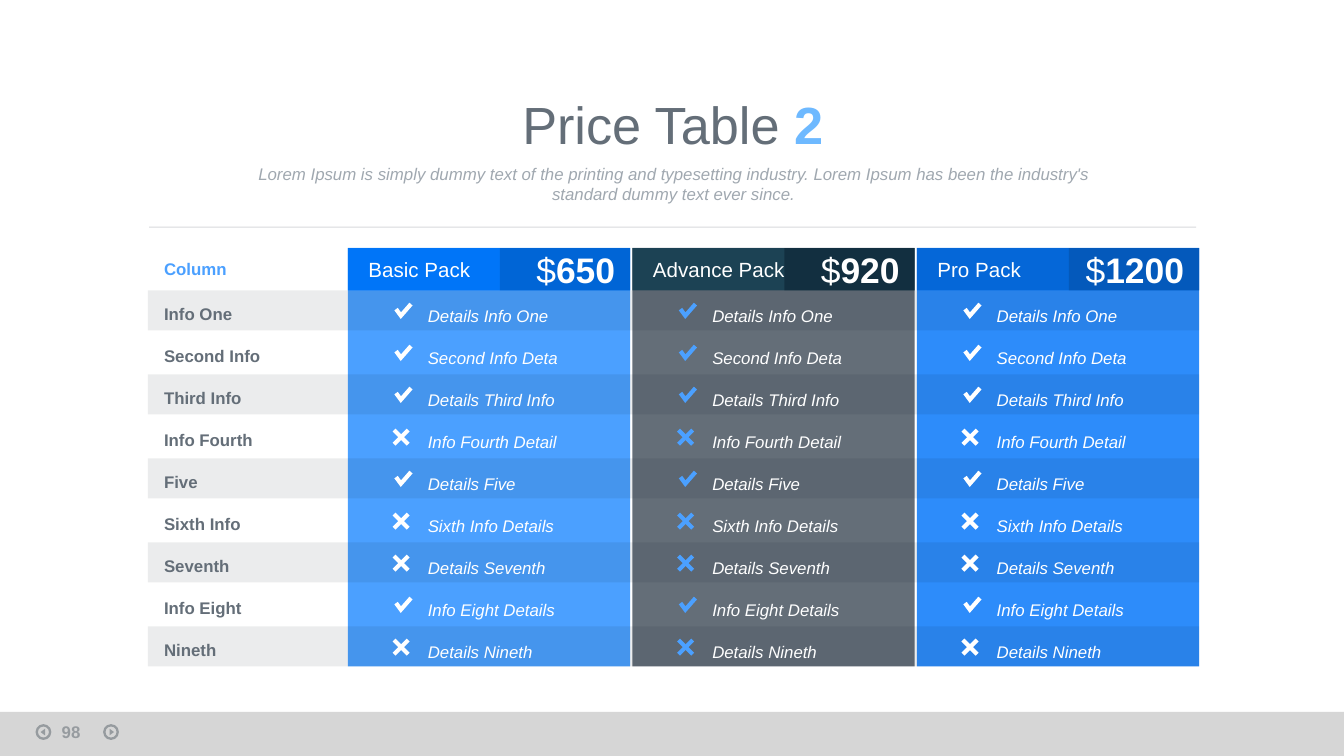
from dataclasses import dataclass

from pptx import Presentation
from pptx.dml.color import RGBColor
from pptx.enum.shapes import MSO_CONNECTOR, MSO_SHAPE as SHAPE
from pptx.enum.text import MSO_ANCHOR, PP_ALIGN as ALIGN
from pptx.oxml.ns import qn
from pptx.oxml.xmlchemy import OxmlElement
from pptx.util import Pt


@dataclass(frozen=True)
class Theme:
    """Colours are (RGB, opacity in percent)."""
    font: str = "Arial"
    title: int = 28
    price: int = 19
    pack: int = 11
    body: int = 9
    white: tuple = ("FFFFFF", 100)
    slate: tuple = ("646E78", 100)
    blue: tuple = ("4BA0FF", 100)
    light_blue: tuple = ("6EB9FF", 100)
    strong_blue: tuple = ("2D8CFA", 100)
    grey: tuple = ("A0A8B0", 100)
    rule: tuple = ("646E78", 25)
    band: tuple = ("051423", 8)
    footer: tuple = ("D2D2D2", 90)
    footer_ink: tuple = ("051423", 30)


T = Theme()


@dataclass(frozen=True)
class Pack:
    name: str
    price: str
    body: tuple
    header: tuple
    price_panel: tuple
    mark: tuple


PACKS = [
    Pack("Basic Pack", "650", T.blue, ("0075F8", 100), ("004EA5", 40), T.white),
    Pack("Advance Pack", "920", T.slate, ("0A374B", 80), ("051423", 40), T.blue),
    Pack("Pro Pack", "1200", T.strong_blue, ("0567D8", 100), ("034590", 40), T.white),
]
# label, detail, included
ROWS = [
    ("Info One", "Details Info One", True),
    ("Second Info", "Second Info Deta", True),
    ("Third Info", "Details Third Info", True),
    ("Info Fourth", "Info Fourth Detail", False),
    ("Five", "Details Five", True),
    ("Sixth Info", "Sixth Info Details", False),
    ("Seventh", "Details Seventh", False),
    ("Info Eight", "Info Eight Details", True),
    ("Nineth", "Details Nineth", False),
]
LABELS, DETAILS, INCLUDED = zip(*ROWS)

TABLE_LEFT, TABLE_TOP = 79.2, 132.9
PACK_LEFT, PACK_PITCH, PACK_WIDTH = 186.4, 152.4, 151.2
HEADER_HEIGHT, ROW_PITCH, BAND_HEIGHT = 22.7, 22.5, 21.4
ROWS_TOP = TABLE_TOP + HEADER_HEIGHT
BODY_HEIGHT = HEADER_HEIGHT + (len(ROWS) - 1) * ROW_PITCH + BAND_HEIGHT


def paint(fill, color):
    rgb, opacity = color
    fill.solid()
    fill.fore_color.rgb = RGBColor.from_string(rgb)
    if opacity < 100:
        alpha = OxmlElement("a:alpha")
        alpha.set("val", str(opacity * 1000))
        fill._xPr.find(qn("a:solidFill"))[0].append(alpha)


def add_shape(slide, kind, x, y, w, h, color, rotation=0):
    s = slide.shapes.add_shape(kind, Pt(x), Pt(y), Pt(w), Pt(h))
    s.shadow.inherit = False
    s.rotation = rotation
    s.line.fill.background()
    paint(s.fill, color)
    return s


def add_line(slide, x1, y1, x2, y2, color, width):
    line = slide.shapes.add_connector(
        MSO_CONNECTOR.STRAIGHT, Pt(x1), Pt(y1), Pt(x2), Pt(y2))
    paint(line.line.fill, color)
    line.line.width = Pt(width)
    line._element.spPr.append(OxmlElement("a:effectLst"))


def add_text(slide, x, y, w, h, lines, color, size=T.body, bold=None,
             italic=None, align=ALIGN.LEFT, spacing=None):
    """Add a text box with one paragraph per line and return its frame."""
    tf = slide.shapes.add_textbox(Pt(x), Pt(y), Pt(w), Pt(h)).text_frame
    tf.word_wrap = True
    tf.vertical_anchor = MSO_ANCHOR.MIDDLE
    tf.margin_left = tf.margin_right = tf.margin_top = tf.margin_bottom = 0
    for i, line in enumerate(lines):
        p = tf.add_paragraph() if i else tf.paragraphs[0]
        p.add_run().text = line
        p.alignment = align
        p.line_spacing = spacing
        f = p.font
        f.name, f.size, f.bold, f.italic = T.font, Pt(size), bold, italic
        paint(f.fill, color)
    return tf


def add_bold_run(tf, text, color):
    r = tf.paragraphs[0].add_run()
    r.text = text
    r.font.bold = True
    paint(r.font.fill, color)


def add_check(slide, x, y, color):
    builder = slide.shapes.build_freeform(Pt(x), Pt(y + 2.7))
    builder.add_line_segments(
        [(Pt(x + 2.6), Pt(y + 6.2)), (Pt(x + 8), Pt(y))], close=False)
    s = builder.convert_to_shape()
    s.shadow.inherit = False
    s.fill.background()
    paint(s.line.fill, color)
    s.line.width = Pt(2.25)
    miter = OxmlElement("a:miter")
    miter.set("lim", "800000")
    s.line.fill._xPr.append(miter)


def add_cross(slide, x, y, color, size=7.6):
    add_line(slide, x, y, x + size, y + size, color, 2.25)
    add_line(slide, x, y + size, x + size, y, color, 2.25)


def add_heading(slide):
    tf = add_text(slide, 126, 51.8, 468.7, 37.4, ["Price Table "], T.slate,
                  T.title, align=ALIGN.CENTER, spacing=0.7)
    add_bold_run(tf, "2", T.light_blue)
    add_text(slide, 126.4, 85.9, 468.7, 25.2,
             ["Lorem Ipsum is simply dummy text of the printing and typesetting "
              "industry. Lorem Ipsum has been the industry's standard dummy text "
              "ever since."], T.grey, italic=True, align=ALIGN.CENTER)
    add_line(slide, 79.9, 121.7, 640.8, 121.7, T.rule, 0.5)


def add_pack(slide, x, pack):
    """Add the header, marks and details of the pack column at x."""
    add_shape(slide, SHAPE.RECTANGLE, x, TABLE_TOP, PACK_WIDTH, HEADER_HEIGHT,
              pack.header)
    add_text(slide, x + 11, 136.1, 70.6, 16.6, [pack.name], T.white, T.pack)
    add_shape(slide, SHAPE.RECTANGLE, x + 81.4, TABLE_TOP, PACK_WIDTH - 81.4,
              HEADER_HEIGHT, pack.price_panel)
    tf = add_text(slide, x + 79.7, 131.9, 63.4, 25.2, ["$"], T.white, T.price,
                  align=ALIGN.RIGHT)
    add_bold_run(tf, pack.price, T.white)
    for i, included in enumerate(INCLUDED):
        y = ROWS_TOP + 7.3 + i * ROW_PITCH
        if included:
            add_check(slide, x + 25.8, y, pack.mark)
        else:
            add_cross(slide, x + 24.7, y, pack.mark)
    add_text(slide, x + 42.8, 156.2, 80, 194.4, DETAILS, T.white, italic=True,
             spacing=Pt(ROW_PITCH))


def add_table_block(slide):
    columns = [(PACK_LEFT + i * PACK_PITCH, pack) for i, pack in enumerate(PACKS)]
    for x, pack in columns:
        add_shape(slide, SHAPE.RECTANGLE, x, TABLE_TOP, PACK_WIDTH, BODY_HEIGHT,
                  pack.body)
    band_width = columns[-1][0] + PACK_WIDTH - TABLE_LEFT
    for i in range(0, len(ROWS), 2):
        add_shape(slide, SHAPE.RECTANGLE, TABLE_LEFT, ROWS_TOP + i * ROW_PITCH,
                  band_width, BAND_HEIGHT, T.band)
    add_text(slide, 87.9, 136.8, 57.6, 14.4, ["Column"], T.blue, bold=True)
    add_text(slide, 87.9, 155.2, 57.6, 194.4, LABELS, T.slate, bold=True,
             spacing=Pt(ROW_PITCH))
    for x, pack in columns:
        add_pack(slide, x, pack)


def add_footer(slide):
    add_shape(slide, SHAPE.RECTANGLE, 0, 381.4, 720, 23.6, T.footer)
    for x, shift, rotation in ((23.3, -0.4, 270), (59.5, 0.4, 90)):
        ring = add_shape(slide, SHAPE.OVAL, x - 3.6, 388.6, 7.2, 7.2, T.footer_ink)
        ring.fill.background()
        paint(ring.line.fill, T.footer_ink)
        ring.line.width = Pt(1.25)
        add_shape(slide, SHAPE.ISOSCELES_TRIANGLE, x + shift - 1.8, 391, 3.6, 2.4,
                  T.footer_ink, rotation)
    add_text(slide, 33.1, 386.6, 22, 10.4, ["98"], T.footer_ink, bold=True)


def main():
    prs = Presentation()
    prs.slide_width, prs.slide_height = Pt(720), Pt(405)
    slide = prs.slides.add_slide(prs.slide_layouts[6])
    add_footer(slide)
    add_heading(slide)
    add_table_block(slide)
    prs.save("out.pptx")


if __name__ == "__main__":
    main()
